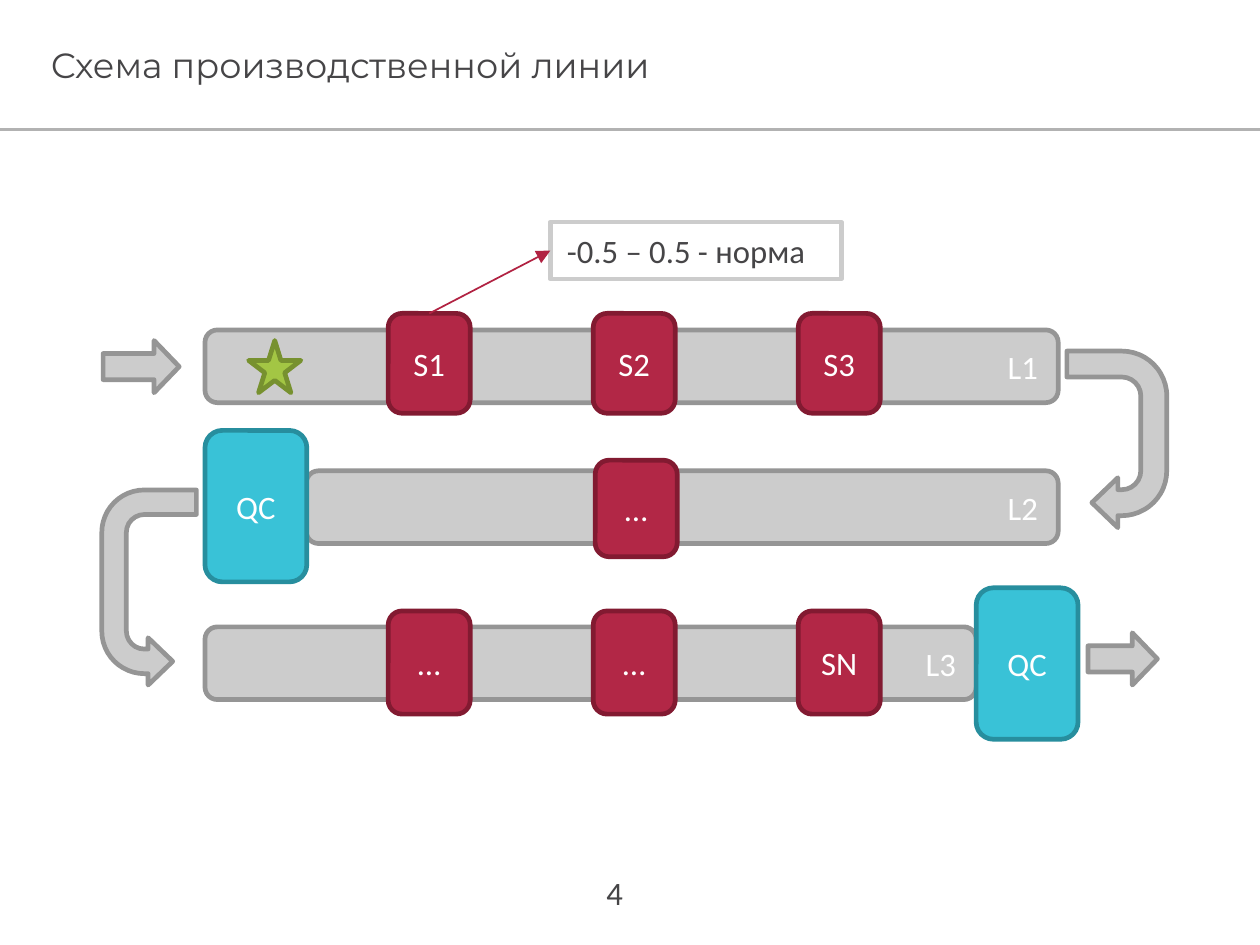
from pptx import Presentation
from pptx.dml.color import RGBColor
from pptx.enum.shapes import MSO_CONNECTOR, MSO_SHAPE
from pptx.enum.text import MSO_ANCHOR, PP_ALIGN
from pptx.oxml.ns import qn
from pptx.util import Cm, Pt
from lxml import etree

RECTANGLE = MSO_SHAPE.RECTANGLE
ROUNDED = MSO_SHAPE.ROUNDED_RECTANGLE
RIGHT_ARROW = MSO_SHAPE.RIGHT_ARROW
U_TURN = MSO_SHAPE.U_TURN_ARROW
STAR = MSO_SHAPE.STAR_5_POINT
STRAIGHT = MSO_CONNECTOR.STRAIGHT
TOP, MIDDLE = MSO_ANCHOR.TOP, MSO_ANCHOR.MIDDLE
LEFT, CENTER, RIGHT = PP_ALIGN.LEFT, PP_ALIGN.CENTER, PP_ALIGN.RIGHT

WHITE = RGBColor(0xFF, 0xFF, 0xFF)
DARK = RGBColor(0x46, 0x45, 0x47)
LIGHT_GRAY = RGBColor(0xCC, 0xCC, 0xCC)
GRAY = RGBColor(0x95, 0x95, 0x95)
RULE_GRAY = RGBColor(0xB2, 0xB2, 0xB2)
RED = RGBColor(0xB2, 0x27, 0x46)
DARK_RED = RGBColor(0x82, 0x1A, 0x31)
ARROW_RED = RGBColor(0xB1, 0x22, 0x42)
CYAN = RGBColor(0x39, 0xC2, 0xD7)
DARK_CYAN = RGBColor(0x27, 0x8E, 0x9E)
GREEN = RGBColor(0xA3, 0xC6, 0x44)
DARK_GREEN = RGBColor(0x77, 0x91, 0x2F)

SLIDE_WIDTH, SLIDE_HEIGHT = 19.05, 14.29
HEADER_HEIGHT = 1.96
BELT_HEIGHT = 1.1
STATION_LEFT, STATION_PITCH, STATION_WIDTH = 5.87, 3.1, 1.24
QC_WIDTH, QC_HEIGHT = 1.54, 2.29
CORNER = 0.17
U_TURN_ADJUSTMENTS = (0.26, 0.27, 0.26, 0.45, 0.75)


class LineDiagram:
    """Holds the style and the current slide."""

    def __init__(self, slide):
        self.slide = slide
        self.font, self.size, self.line_width = "Calibri", 14, 2

    def shape(self, kind, box, fill, outline=None, adjustments=()):
        shape = self.slide.shapes.add_shape(kind, *map(Cm, box))
        shape.shadow.inherit = False
        shape.fill.solid()
        shape.fill.fore_color.rgb = fill
        if outline is None:
            shape.line.fill.background()
        else:
            shape.line.color.rgb = outline
            shape.line.width = Pt(self.line_width)
        for index, value in enumerate(adjustments):
            shape.adjustments[index] = value
        return shape

    def label(self, shape, text, color=WHITE, align=CENTER, anchor=MIDDLE, font=None, size=None):
        frame = shape.text_frame
        frame.text = text
        frame.word_wrap = True
        frame.vertical_anchor = anchor
        paragraph = frame.paragraphs[0]
        paragraph.alignment = align
        run_font = paragraph.runs[0].font
        run_font.name = font or self.font
        run_font.size = Pt(size or self.size)
        run_font.color.rgb = color

    def title(self, text):
        header = self.shape(RECTANGLE, (0, 0, SLIDE_WIDTH, HEADER_HEIGHT), WHITE)
        header.text_frame.margin_left = Cm(0.77)
        self.label(header, text, DARK, LEFT, font="Montserrat", size=15)
        self.connector((0, HEADER_HEIGHT, SLIDE_WIDTH, HEADER_HEIGHT), RULE_GRAY, 1)

    def belt(self, left, top, width, text):
        box = (left, top, width, BELT_HEIGHT)
        self.label(self.shape(ROUNDED, box, LIGHT_GRAY, GRAY, [CORNER]), text, align=RIGHT)

    def station(self, left, top, height, text):
        box = (left, top, STATION_WIDTH, height)
        station = self.shape(ROUNDED, box, RED, DARK_RED, [CORNER])
        self.label(station, text)
        return station

    def quality_check(self, left, top):
        box = (left, top, QC_WIDTH, QC_HEIGHT)
        self.label(self.shape(ROUNDED, box, CYAN, DARK_CYAN, [CORNER]), "QC")

    def flow_arrow(self, *box):
        self.shape(RIGHT_ARROW, box, LIGHT_GRAY, GRAY, (0.5, 0.48))

    def turn_arrow(self, box, mirrored=False):
        arrow = self.shape(U_TURN, box, LIGHT_GRAY, GRAY, U_TURN_ADJUSTMENTS)
        arrow.rotation = 90
        if mirrored:
            arrow.element.spPr.find(qn("a:xfrm")).set("flipV", "1")

    def connector(self, ends, color, width):
        connector = self.slide.shapes.add_connector(STRAIGHT, *map(Cm, ends))
        connector.line.color.rgb = color
        connector.line.width = Pt(width)
        etree.SubElement(connector.element.spPr, qn("a:effectLst"))
        return connector

    def pointer(self, source, target):
        pointer = self.connector((0, 0, 1, 1), ARROW_RED, 0.75)
        pointer.begin_connect(source, 0)
        pointer.end_connect(target, 1)
        line = pointer.element.spPr.find(qn("a:ln"))
        etree.SubElement(line, qn("a:tailEnd"), type="triangle")


def main():
    presentation = Presentation()
    presentation.slide_width = Cm(SLIDE_WIDTH)
    presentation.slide_height = Cm(SLIDE_HEIGHT)
    diagram = LineDiagram(presentation.slides.add_slide(presentation.slide_layouts[6]))

    diagram.title("Схема производственной линии")

    # Conveyor belts
    diagram.belt(3.1, 4.99, 12.9, "L1")
    diagram.belt(4.63, 7.12, 11.37, "L2")
    diagram.belt(3.1, 9.48, 11.66, "L3")

    # Stations
    stations = {}
    for top, height, names in ((4.74, 1.51, ("S1", "S2", "S3")), (9.24, 1.56, ("…", "…", "SN"))):
        for column, name in enumerate(names):
            left = STATION_LEFT + column * STATION_PITCH
            stations[name] = diagram.station(left, top, height, name)
    diagram.station(9, 6.96, 1.46, "…")

    # Product flow
    diagram.flow_arrow(1.56, 5.15, 1.15, 0.79)
    diagram.turn_arrow((15.55, 5.89, 2.67, 1.51))
    diagram.turn_arrow((0.78, 8.17, 2.95, 1.43), mirrored=True)
    diagram.flow_arrow(16.45, 9.57, 1.05, 0.79)
    diagram.shape(STAR, (3.76, 5.15, 0.79, 0.79), GREEN, DARK_GREEN)

    # Quality checks
    diagram.quality_check(14.76, 8.89)
    diagram.quality_check(3.1, 6.51)

    # Normal range of the first station
    norm = diagram.shape(RECTANGLE, (8.32, 3.36, 4.4, 0.86), WHITE, LIGHT_GRAY)
    diagram.label(norm, "-0.5 – 0.5 - норма", DARK, LEFT, TOP)
    diagram.pointer(stations["S1"], norm)

    # Page number
    page_number = diagram.shape(RECTANGLE, (8.7, 13.26, 1.19, 0.48), WHITE, WHITE)
    diagram.label(page_number, "4", DARK)

    presentation.save("out.pptx")


if __name__ == "__main__":
    main()
